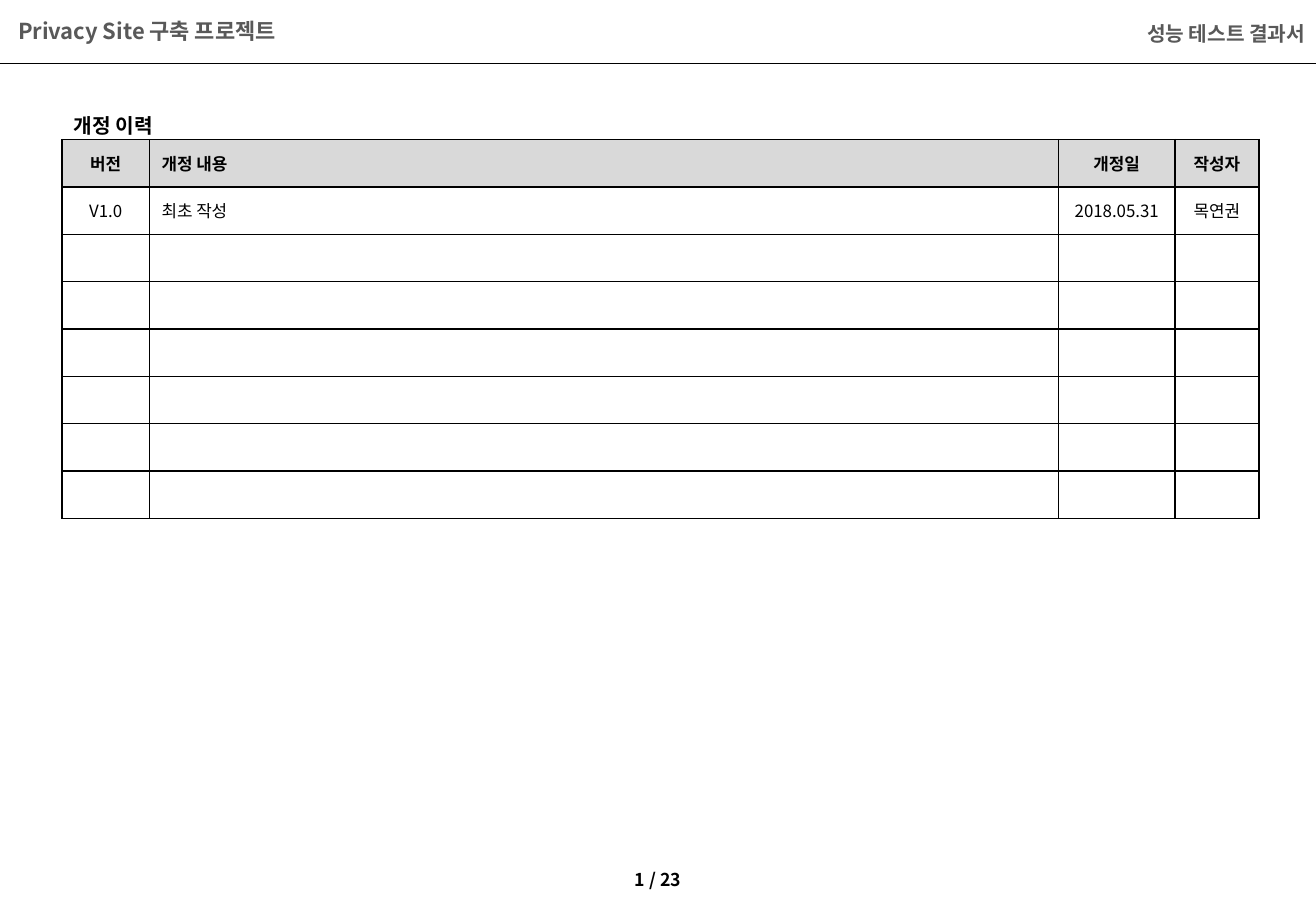
from pptx import Presentation
from pptx.dml.color import RGBColor
from pptx.enum.shapes import MSO_CONNECTOR
from pptx.enum.text import MSO_ANCHOR, PP_ALIGN
from pptx.oxml.ns import qn
from pptx.util import Inches, Pt
from lxml.etree import SubElement

FONT = "Noto Sans CJK KR"
BLACK, GRAY, HEADER_FILL, WHITE = "000000", "595959", "D9D9D9", "FFFFFF"
LEFT, CENTER, RIGHT = PP_ALIGN.LEFT, PP_ALIGN.CENTER, PP_ALIGN.RIGHT

COL_WIDTHS = [0.72, 7.48, 0.96, 0.69]
COL_ALIGNS = [CENTER, LEFT, CENTER, CENTER]
REVISIONS = [
    ["버전", "개정 내용", "개정일", "작성자"],
    ["V1.0", "최초 작성", "2018.05.31", "목연권"],
]
ROW_COUNT = 8
ROW_HEIGHT = 0.39


def color(value):
    return RGBColor.from_string(value)


def set_text(p, text, size, hex_color, bold, align):
    p.text = text
    p.alignment = align
    p.font.name = FONT
    p.font.size = Pt(size)
    p.font.bold = bold
    p.font.color.rgb = color(hex_color)
    # Korean glyphs use the East Asian typeface
    SubElement(p._p.pPr.find(qn("a:defRPr")), qn("a:ea"), typeface=FONT)


def add_text(s, box, text, size, hex_color=BLACK, align=LEFT,
             anchor=MSO_ANCHOR.TOP, spacing=None):
    tf = s.shapes.add_textbox(*map(Inches, box)).text_frame
    tf.word_wrap = True
    tf.vertical_anchor = anchor
    p = tf.paragraphs[0]
    set_text(p, text, size, hex_color, True, align)
    if spacing:
        p.line_spacing = spacing


def add_rule(s, y, width):
    line = s.shapes.add_connector(MSO_CONNECTOR.STRAIGHT, 0, Inches(y),
                                  Inches(width), Inches(y))
    line.line.color.rgb = color(BLACK)
    line.line.width = Pt(0.75)
    SubElement(line._element.spPr, qn("a:effectLst"))


def set_borders(cell):
    tcPr = cell._tc.get_or_add_tcPr()
    for side in ("lnL", "lnR", "lnT", "lnB"):
        ln = SubElement(tcPr, qn(f"a:{side}"), w=str(Pt(1)))
        fill = SubElement(ln, qn("a:solidFill"))
        SubElement(fill, qn("a:srgbClr"), val=BLACK)


def add_revision_table(s, left, top):
    table = s.shapes.add_table(
        ROW_COUNT, len(COL_WIDTHS), Inches(left), Inches(top),
        Inches(sum(COL_WIDTHS)), Inches(ROW_COUNT * ROW_HEIGHT)).table
    table.first_row = table.horz_banding = False
    for column, width in zip(table.columns, COL_WIDTHS):
        column.width = Inches(width)
    for i, row in enumerate(table.rows):
        row.height = Inches(ROW_HEIGHT)
        is_header = i == 0
        texts = REVISIONS[i] if i < len(REVISIONS) else [""] * len(COL_WIDTHS)
        for cell, text, align in zip(row.cells, texts, COL_ALIGNS):
            cell.margin_top = cell.margin_bottom = 0
            cell.vertical_anchor = MSO_ANCHOR.MIDDLE
            set_borders(cell)
            cell.fill.solid()
            cell.fill.fore_color.rgb = color(HEADER_FILL if is_header else WHITE)
            set_text(cell.text_frame.paragraphs[0], text, 10, BLACK,
                     is_header, align)


def main():
    prs = Presentation()
    prs.slide_width, prs.slide_height = Inches(10.83), Inches(7.5)
    s = prs.slides.add_slide(prs.slide_layouts[6])

    # Page header and footer
    add_rule(s, 0.52, 10.83)
    add_text(s, (0.05, 0.06, 2.62, 0.39), "Privacy Site 구축 프로젝트", 13,
             GRAY, anchor=MSO_ANCHOR.MIDDLE)
    add_text(s, (8.8, 0.08, 2.04, 0.39), "성능 테스트 결과서", 12, GRAY,
             RIGHT, MSO_ANCHOR.MIDDLE)
    add_text(s, (4.98, 7.1, 0.87, 0.28), "1 / 23", 10.5, align=CENTER)

    # Revision history
    add_revision_table(s, 0.51, 1.15)
    add_text(s, (0.51, 0.78, 9.34, 0.36), "개정 이력", 12, spacing=1.5)

    prs.save("out.pptx")


if __name__ == "__main__":
    main()
